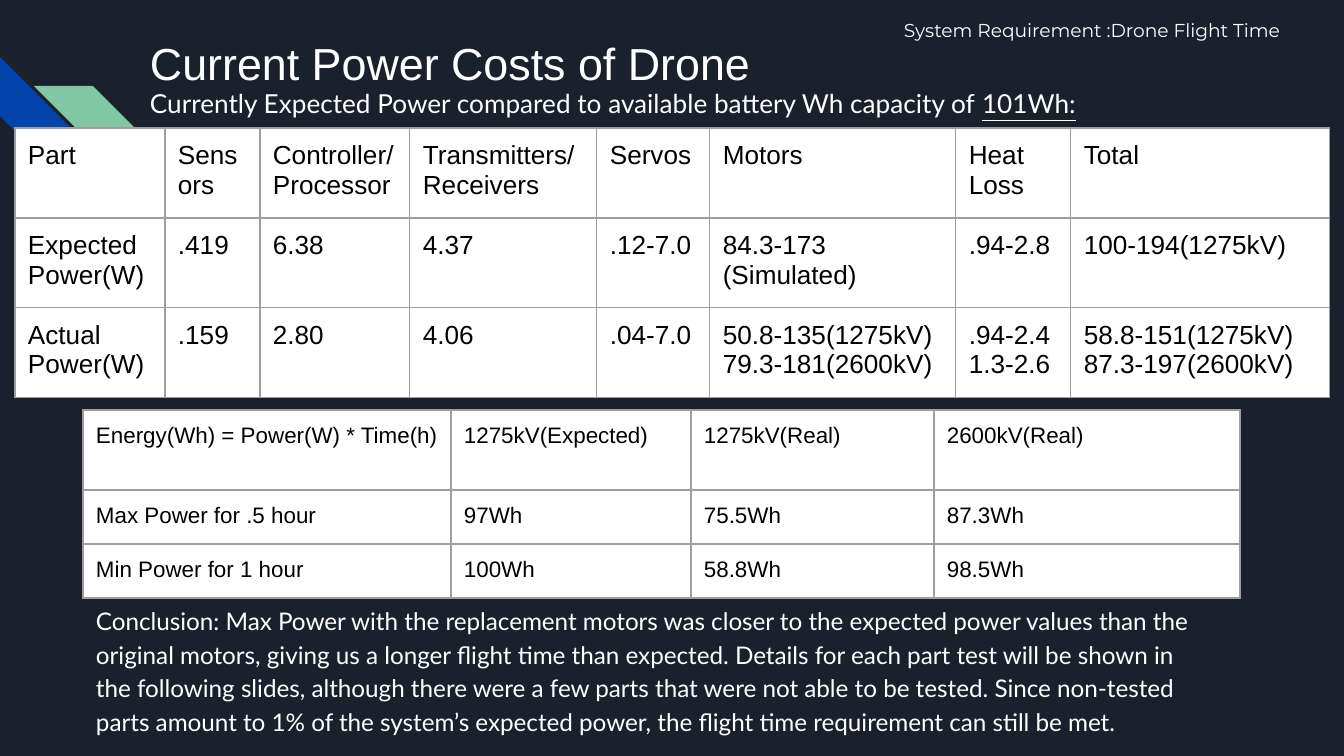
import pptx
import pptx.util
import pptx.dml.color
import pptx.enum.shapes
import lxml.etree

RGB = pptx.dml.color.RGBColor
NAVY = RGB(0x1B, 0x21, 0x2C)
BLUE = RGB(0x01, 0x45, 0xAC)
GREEN = RGB(0x82, 0xC7, 0xA5)
WHITE = RGB(0xFF, 0xFF, 0xFF)
BLACK = RGB(0, 0, 0)
GREY = RGB(0x9E, 0x9E, 0x9E)

SCALE = 914400 / 134.4  # EMU in one px
PAD = 13

# place, size, font, spaced, runs of (text, underlined)
TEXTS = [
    ((137, 15, 1035, 134), 24, "Arial", True,
     [("Current Power Costs of Drone", False)]),
    ((83, 589, 1141, 230), 13, "Lato", True,
     [("Conclusion: Max Power with the replacement motors was closer to the "
       "expected power values than the original motors, giving us a longer "
       "flight time than expected. Details for each part test will be shown "
       "in the following slides, although there were a few parts that were "
       "not able to be tested. Since non-tested parts amount to 1% of the "
       "system’s expected power, the flight time requirement can still be "
       "met.", False)]),
    ((137, 70, 988, 59), 14, "Lato", True,
     [("Currently Expected Power compared to available battery Wh capacity "
       "of ", False), ("101Wh:", True)]),
    ((891, 8, 438, 50), 10, "Montserrat", False,
     [("System Requirement :Drone Flight Time", False)]),
]

# place, size, columns, rows, cells (a line break starts a new paragraph)
TABLES = [
    ((15, 128), 14, [150, 95, 150, 187, 113, 246, 115, 259], [90, 90, 90], [
        ["Part", "Sensors", "Controller/Processor", "Transmitters/\nReceivers",
         "Servos", "Motors", "Heat Loss", "Total"],
        ["Expected Power(W)", ".419", "6.38", "4.37", ".12-7.0",
         "84.3-173\n(Simulated)", ".94-2.8", "100-194(1275kV)"],
        ["Actual Power(W)", ".159", "2.80", "4.06", ".04-7.0",
         "50.8-135(1275kV)\n79.3-181(2600kV)", ".94-2.4\n1.3-2.6",
         "58.8-151(1275kV)\n87.3-197(2600kV)"],
    ]),
    ((83, 410), 12, [368, 240, 243, 306], [80, 54, 54], [
        ["Energy(Wh) = Power(W) * Time(h)", "1275kV(Expected)",
         "1275kV(Real)", "2600kV(Real)"],
        ["Max Power for .5 hour", "97Wh", "75.5Wh", "87.3Wh"],
        ["Min Power for 1 hour", "100Wh", "58.8Wh", "98.5Wh"],
    ]),
]


def px(num):
    return pptx.util.Emu(round(num * SCALE))


def add_run(para, text, size, font, color):
    run = para.add_run()
    run.text = text
    run.font.size = pptx.util.Pt(size)
    run.font.name = font
    run.font.color.rgb = color
    return run


def set_pad(box):
    """Give a text frame or a cell the same inset on all sides."""
    box.margin_left = box.margin_right = px(PAD)
    box.margin_top = box.margin_bottom = px(PAD)


def add_stripe(slide, place, color):
    kind = pptx.enum.shapes.MSO_SHAPE.DIAGONAL_STRIPE
    stripe = slide.shapes.add_shape(kind, *map(px, place))
    stripe.shadow.inherit = False
    stripe.fill.solid()
    stripe.fill.fore_color.rgb = color
    stripe.line.fill.background()
    return stripe


def add_text(slide, place, size, font, spaced, runs):
    frame = slide.shapes.add_textbox(*map(px, place)).text_frame
    frame.word_wrap = True
    set_pad(frame)
    para = frame.paragraphs[0]
    if spaced:
        para.line_spacing = 1.15
        para.space_after = pptx.util.Pt(12)
    for text, under in runs:
        run = add_run(para, text, size, font, WHITE)
        if under:
            run.font.underline = True


def add_edges(cell):
    """Draw a thin grey line on the four sides of a cell."""
    props = cell._tc.get_or_add_tcPr()
    name = "{http://schemas.openxmlformats.org/drawingml/2006/main}"
    for side in ("lnL", "lnR", "lnT", "lnB"):
        line = lxml.etree.SubElement(props, name + side)
        line.set("w", str(pptx.util.Pt(0.75)))
        fill = lxml.etree.SubElement(line, name + "solidFill")
        lxml.etree.SubElement(fill, name + "srgbClr").set("val", str(GREY))


def add_grid(slide, place, size, cols, rows, cells):
    spot = (*place, sum(cols), sum(rows))
    table = slide.shapes.add_table(len(rows), len(cols), *map(px, spot)).table
    for col, width in zip(table.columns, cols):
        col.width = px(width)
    for row, height, texts in zip(table.rows, rows, cells):
        row.height = px(height)
        for cell, text in zip(row.cells, texts):
            add_edges(cell)
            cell.fill.solid()
            cell.fill.fore_color.rgb = WHITE
            set_pad(cell)
            frame = cell.text_frame
            for num, line in enumerate(text.split("\n")):
                para = frame.add_paragraph() if num else frame.paragraphs[0]
                add_run(para, line, size, "Arial", BLACK)


def main():
    deck = pptx.Presentation()
    deck.slide_width, deck.slide_height = px(1344), px(756)
    slide = deck.slides.add_slide(deck.slide_layouts[6])
    slide.background.fill.solid()
    slide.background.fill.fore_color.rgb = NAVY

    add_stripe(slide, (0, 57, 118, 118), BLUE).rotation = 270
    green = add_stripe(slide, (34, 86, 118, 118), GREEN)
    green._element.spPr.xfrm.set("flipH", "1")

    for item in TEXTS:
        add_text(slide, *item)
    for item in TABLES:
        add_grid(slide, *item)
    deck.save("out.pptx")


if __name__ == "__main__":
    main()
